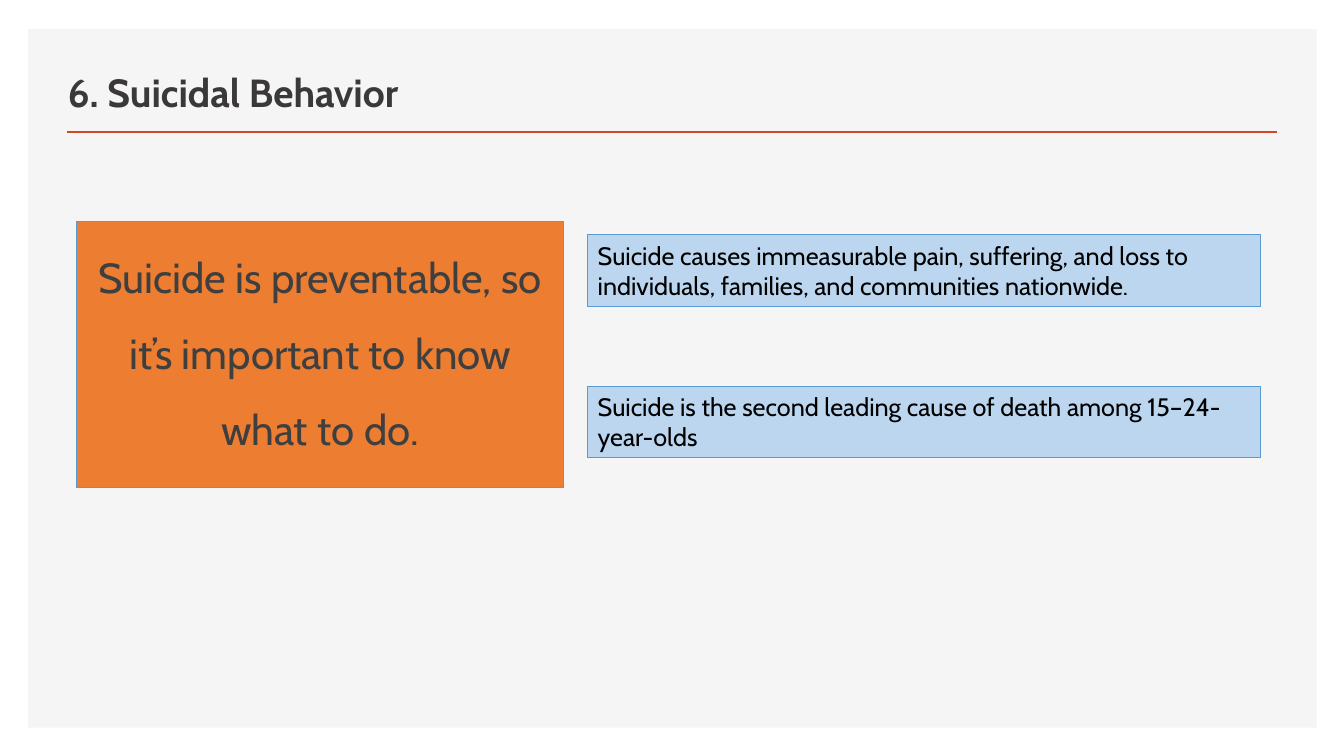
import pptx
import pptx.dml.color
import pptx.enum.shapes
import pptx.enum.text
import pptx.util
from lxml import etree
from pptx.util import Inches

COLORS = {
    "panel": "F5F5F5",
    "rule": "D24726",
    "title": "3A3838",
    "message": "3F3F3F",
    "message_fill": "ED7D31",
    "fact": "000000",
    "fact_fill": "BBD6EE",
    "border": "5B9BD5",
}
FACTS = [
    "Suicide causes immeasurable pain, suffering, and loss to individuals, "
    "families, and communities nationwide.",
    "Suicide is the second leading cause of death among 15–24-year-olds",
]
DRAWING_NS = "http://schemas.openxmlformats.org/drawingml/2006/main"


class SlideBuilder:
    """Holds the style and the current slide."""

    font = "Cabin"

    def __init__(self, slide):
        self.slide = slide

    def color(self, name):
        return pptx.dml.color.RGBColor.from_string(COLORS[name])

    def place(self, shape, left, top, width, height):
        shape.left, shape.top = Inches(left), Inches(top)
        shape.width, shape.height = Inches(width), Inches(height)

    def paint(self, shape, fill, border=None):
        shape.fill.solid()
        shape.fill.fore_color.rgb = self.color(fill)
        if border:
            shape.line.color.rgb = self.color(border)
            shape.line.width = pptx.util.Pt(0.75)
        else:
            shape.line.fill.background()

    def set_text(self, shape, text, size, color, align="LEFT", anchor="TOP", bold=False):
        frame = shape.text_frame
        frame.text = text
        frame.word_wrap = True
        frame.auto_size = pptx.enum.text.MSO_AUTO_SIZE.NONE
        frame.vertical_anchor = pptx.enum.text.MSO_ANCHOR[anchor]
        paragraph = frame.paragraphs[0]
        paragraph.alignment = pptx.enum.text.PP_ALIGN[align]
        paragraph.space_before = pptx.util.Pt(0)
        font = paragraph.runs[0].font
        font.name, font.size, font.bold = self.font, pptx.util.Pt(size), bold
        font.color.rgb = self.color(color)
        return paragraph

    def rectangle(self, left, top, width, height, fill, border=None):
        shape = self.slide.shapes.add_shape(
            pptx.enum.shapes.MSO_SHAPE.RECTANGLE,
            Inches(left), Inches(top), Inches(width), Inches(height))
        shape.shadow.inherit = False
        self.paint(shape, fill, border)
        return shape

    def panel(self, *box):
        element = self.rectangle(*box, "panel").element
        element.getparent().insert(2, element)

    def rule(self, left, right, top):
        line = self.slide.shapes.add_connector(
            pptx.enum.shapes.MSO_CONNECTOR.STRAIGHT,
            Inches(left), Inches(top), Inches(right), Inches(top))
        line.line.color.rgb = self.color("rule")
        line.line.width = pptx.util.Pt(2)
        etree.SubElement(line.element.spPr, f"{{{DRAWING_NS}}}effectLst")

    def title(self, text, *box):
        heading = self.slide.shapes.title
        self.place(heading, *box)
        self.set_text(heading, text, 28, "title", anchor="BOTTOM", bold=True)

    def message(self, text, *box):
        body = self.slide.placeholders[1]
        self.place(body, *box)
        self.paint(body, "message_fill", "border")
        paragraph = self.set_text(body, text, 30, "message", align="CENTER")
        paragraph.line_spacing = 1.5
        properties = paragraph._p.get_or_add_pPr()
        properties.set("marL", "0")
        properties.set("indent", "0")
        etree.SubElement(properties, f"{{{DRAWING_NS}}}buNone")

    def fact(self, text, *box):
        self.set_text(self.rectangle(*box, "fact_fill", "border"), text, 18, "fact")


def main():
    deck = pptx.Presentation()
    deck.slide_width, deck.slide_height = Inches(13.33), Inches(7.5)
    builder = SlideBuilder(deck.slides.add_slide(deck.slide_layouts[1]))
    builder.panel(0.28, 0.29, 12.78, 6.93)
    builder.rule(0.66, 12.67, 1.31)
    builder.title("6. Suicidal Behavior", 0.57, 0.49, 7.52, 0.7)
    builder.message("Suicide is preventable, so it’s important to know what to do.",
                    0.76, 2.2, 4.83, 2.64)
    for row, fact in enumerate(FACTS):
        builder.fact(fact, 5.83, 2.33 + 1.5 * row, 6.67, 0.71)
    deck.save("out.pptx")


if __name__ == "__main__":
    main()
